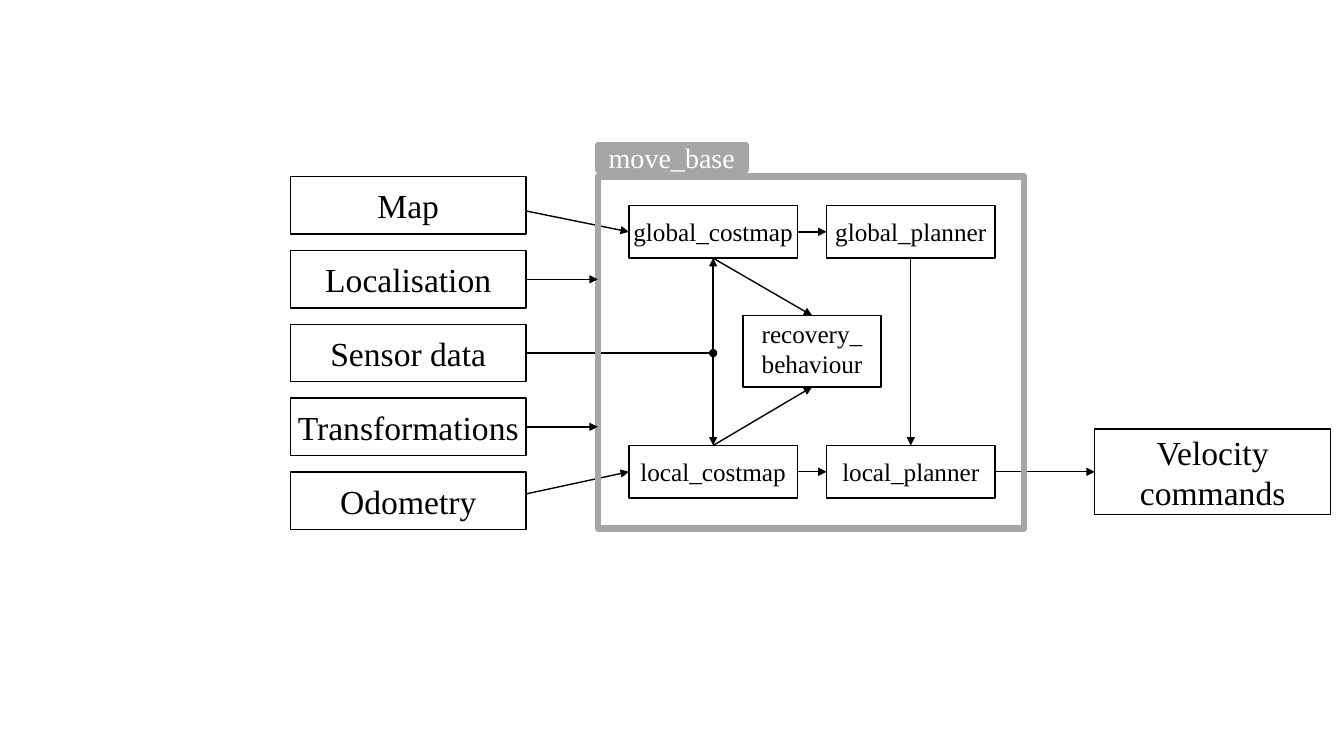
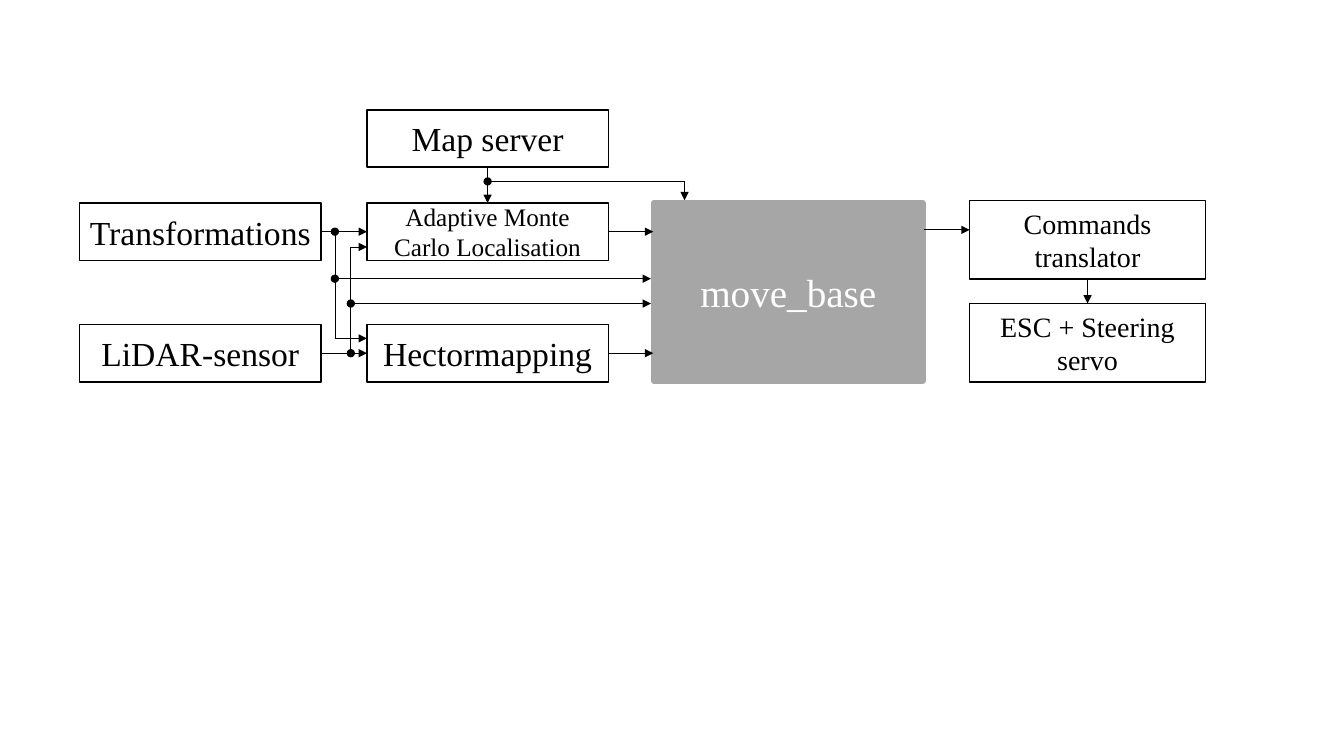
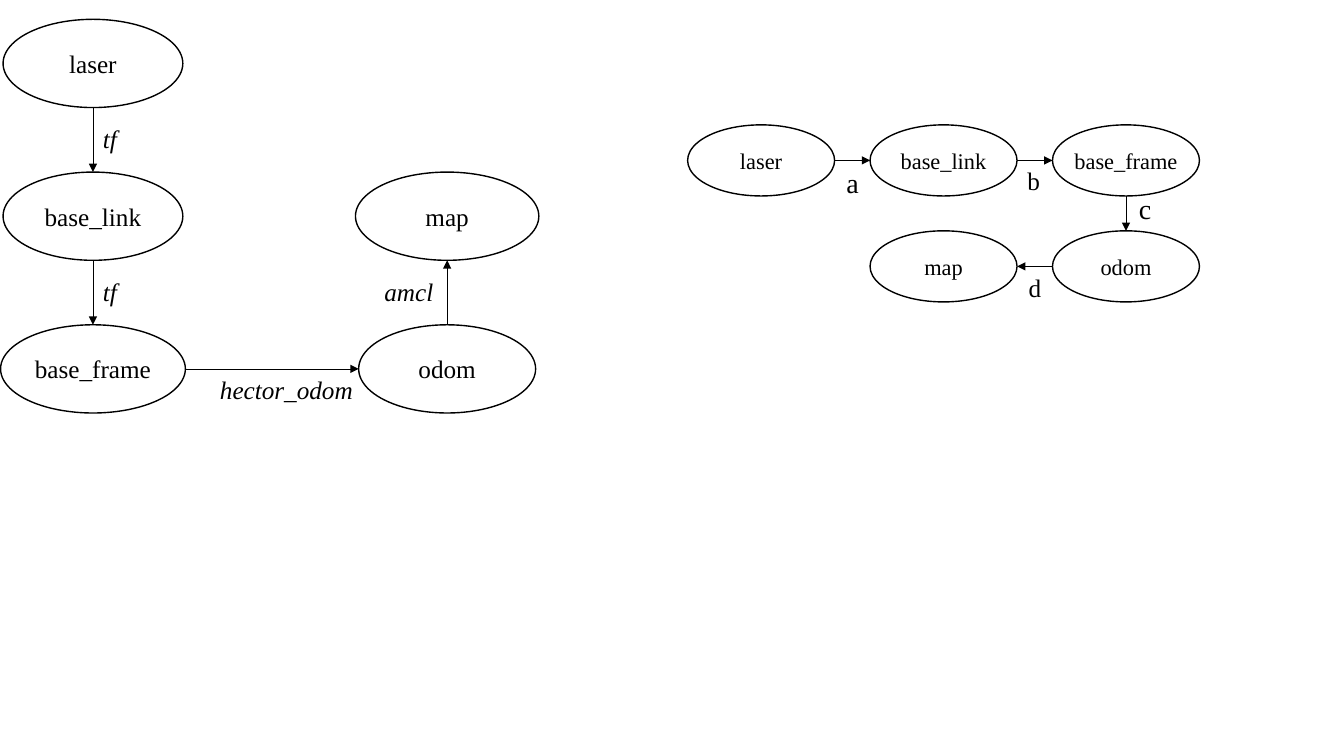
from lxml import etree
from pptx import Presentation
from pptx.dml.color import RGBColor
from pptx.enum import shapes, text
from pptx.oxml.ns import qn
from pptx.util import Pt

COLORS = {"ink": "000000", "paper": "FFFFFF", "grey": "A6A6A6"}
FONT = "Times New Roman"
TOP, LEFT, BOTTOM, RIGHT = range(4)
RECT, OVAL = shapes.MSO_SHAPE.RECTANGLE, shapes.MSO_SHAPE.OVAL
CENTER = text.PP_ALIGN.CENTER
THIN, GREY_EDGE = 0.5, 4.5


def color(name):
    return RGBColor.from_string(COLORS[name])


def write(box, words, size, ink="ink", align=CENTER, italic=False):
    box.text_frame.word_wrap = True
    para = box.text_frame.paragraphs[0]
    para.text = words
    para.alignment = align
    para.font.name, para.font.size = FONT, Pt(size)
    para.font.italic = italic
    para.font.color.rgb = color(ink)


def node(page, words, left, top, width, height, size=24, kind=RECT, margin=7.2):
    """White outlined box or ellipse with centred text."""
    box = page.shapes.add_shape(kind, Pt(left), Pt(top), Pt(width), Pt(height))
    box.shadow.inherit = False
    box.fill.solid()
    box.fill.fore_color.rgb = color("paper")
    box.line.color.rgb = color("ink")
    box.line.width = Pt(1)
    frame = box.text_frame
    frame.vertical_anchor = text.MSO_ANCHOR.MIDDLE
    frame.margin_left = frame.margin_right = Pt(margin)
    write(box, words, size)
    return box


def grey_block(page, words, left, top, width, height, size=20, filled=True):
    """Grey block with white text, or only its thick grey outline."""
    box = node(page, words, left, top, width, height, size)
    box.line.color.rgb = color("grey")
    box.line.width = Pt(GREY_EDGE)
    if filled:
        box.fill.fore_color.rgb = color("grey")
        write(box, words, size, "paper")
    else:
        box.fill.background()
    return box


def label(page, words, left, top, width, size, align=CENTER, italic=False):
    box = page.shapes.add_textbox(Pt(left), Pt(top), Pt(width), Pt(30))
    write(box, words, size, align=align, italic=italic)


def side_point(box, side):
    """Middle of one side of a shape, in points."""
    across = {LEFT: 0, RIGHT: 1}.get(side, 0.5)
    down = {TOP: 0, BOTTOM: 1}.get(side, 0.5)
    return (box.left + box.width * across) / Pt(1), (box.top + box.height * down) / Pt(1)


def arrow(page, start, end, weight=THIN, head=None, tail="triangle"):
    """Line between two ends, each an (x, y) point or a (shape, side) pair."""
    ends = [start, end]
    joined = [not isinstance(item[0], (int, float)) for item in ends]
    points = [side_point(*item) if join else item for item, join in zip(ends, joined)]
    line = page.shapes.add_connector(
        shapes.MSO_CONNECTOR.STRAIGHT, *(Pt(value) for point in points for value in point))
    line.line.color.rgb = color("ink")
    line.line.width = Pt(weight)
    for item, join, connect in zip(ends, joined, (line.begin_connect, line.end_connect)):
        if join and item[0].auto_shape_type == RECT:
            connect(*item)
    outline = line.line._get_or_add_ln()
    for tag, kind in (("a:headEnd", head), ("a:tailEnd", tail)):
        if kind:
            etree.SubElement(outline, qn(tag)).set("type", kind)
    etree.SubElement(line._element.spPr, qn("a:effectLst"))


def move_base_inside(page):
    # Inputs and output
    names = ["Map", "Localisation", "Sensor data", "Transformations", "Odometry"]
    inputs = [node(page, name, 207.4, 126.3 + 52.7 * row, 168.4, 41, margin=3)
              for row, name in enumerate(names)]
    velocity = node(page, "Velocity\vcommands", 782, 306.4, 168.4, 61.2)

    # Planner parts
    global_costmap, global_planner, local_costmap, local_planner = [
        node(page, f"{area}_{part}", left, top, 120.4, 37.6, 18, margin=3)
        for area, top in (("global", 146.8), ("local", 318.2))
        for part, left in (("costmap", 449.2), ("planner", 590.4))]
    recovery = node(page, "recovery_\vbehaviour", 530.8, 225.4, 98.6, 51, 18, margin=3)
    recovery.text_frame.margin_top = 0

    # Lines that pass under the frame
    arrow(page, (local_planner, RIGHT), (velocity, LEFT), 1)
    arrow(page, (375.8, 352.8), (local_costmap, LEFT), 1)
    arrow(page, (inputs[2], RIGHT), (509.4, 252.2), 1, tail="oval")
    arrow(page, (375.8, 150.7), (global_costmap, LEFT), 1)

    # Frame and its tab
    grey_block(page, "", 427, 126, 304.6, 251.6, filled=False)
    grey_block(page, "move_base", 427, 103.7, 105.8, 18)

    # Lines inside and up to the frame
    for start, end in [
            ((global_costmap, BOTTOM), (recovery, TOP)),
            ((local_costmap, TOP), (recovery, BOTTOM)),
            ((global_costmap, RIGHT), (global_planner, LEFT)),
            ((local_costmap, RIGHT), (local_planner, LEFT)),
            ((global_planner, BOTTOM), (local_planner, TOP))]:
        arrow(page, start, end, 1)
    arrow(page, (global_costmap, BOTTOM), (local_costmap, TOP), 1, head="triangle")
    for box in (inputs[1], inputs[3]):
        arrow(page, (box, RIGHT), (427, side_point(box, RIGHT)[1]), 1)


def system_overview(page):
    # Boxes
    column, width, height = (56.9, 262.1), 172.4, 41
    upper, lower = 145, 231.8
    map_server = node(page, "Map server", column[1], 78.5, width, height)
    localisation = node(page, "Adaptive Monte\vCarlo Localisation",
                        column[1], upper, width, height, 18)
    mapping = node(page, "Hectormapping", column[1], lower, width, height)
    transforms = node(page, "Transformations", column[0], upper, width, height, margin=3)
    lidar = node(page, "LiDAR-sensor", column[0], lower, width, height, margin=3)
    translator = node(page, "Commands translator", 692.6, 143.2, 168.5, 56, 20)
    servo = node(page, "ESC + Steering servo", 692.6, 216.8, 168.5, 56, 20)
    grey_block(page, "move_base", 467.3, 144.8, 191.6, 127.4, 28)

    # Direct arrows
    for start, end in [
            ((map_server, BOTTOM), (localisation, TOP)),
            ((transforms, RIGHT), (localisation, LEFT)),
            ((lidar, RIGHT), (mapping, LEFT)),
            ((translator, BOTTOM), (servo, TOP)),
            ((660, 164.2), (692.6, 164.2))]:
        arrow(page, start, end)
    for box in (localisation, mapping):
        arrow(page, (box, RIGHT), (466.6, side_point(box, RIGHT)[1]))

    # Branches: vertical line, arrow to a box, arrow to move_base
    for x, source, turn, through in [(239.2, transforms, 241.7, 199.1),
                                     (250.6, lidar, 176.4, 216.8)]:
        arrow(page, (x, turn), (x, side_point(source, RIGHT)[1]), tail="oval")
        arrow(page, (x, turn), (column[1], turn))
        arrow(page, (465, through), (x, through), head="triangle", tail="oval")

    # Map branch over the top
    arrow(page, (489, 129.6), (side_point(map_server, BOTTOM)[0], 129.6), tail="oval")
    arrow(page, (489, 129.6), (489, 143))


def frame_trees(page):
    # Large tree: name, centre x, row, width
    laser, base_link, base_frame, odom, map_frame = [
        node(page, name, middle - width / 2, 13.8 + 109.1 * row, width, 63, 18, OVAL, 0)
        for name, middle, row, width in [
            ("laser", 66.4, 0, 128.4), ("base_link", 66.4, 1, 128.4),
            ("base_frame", 66.4, 2, 132), ("odom", 319.4, 2, 126.4),
            ("map", 319.4, 1, 131)]]
    arrow(page, (laser, BOTTOM), (base_link, TOP))
    arrow(page, (base_link, BOTTOM), (base_frame, TOP))
    arrow(page, (base_frame, RIGHT), (odom, LEFT))
    arrow(page, (odom, TOP), (map_frame, BOTTOM))
    for words, left, top, width, align in [
            ("tf", 66.4, 84.8, 36, text.PP_ALIGN.LEFT),
            ("tf", 66.4, 193.9, 36, text.PP_ALIGN.LEFT),
            ("hector_odom", 150, 263.6, 140, text.PP_ALIGN.LEFT),
            ("amcl", 250.6, 193.9, 66, text.PP_ALIGN.RIGHT)]:
        label(page, words, left, top, width, 18, align, italic=True)

    # Small tree: name, column, row
    chain = [
        node(page, name, 491.2 + 130.3 * column, 89.2 + 75.7 * row, 105, 50.8, 16, OVAL, 0)
        for name, column, row in [("laser", 0, 0), ("base_link", 1, 0),
                                  ("base_frame", 2, 0), ("odom", 2, 1), ("map", 1, 1)]]
    exits = [(RIGHT, LEFT), (RIGHT, LEFT), (BOTTOM, TOP), (LEFT, RIGHT)]
    for first, second, (leave, enter) in zip(chain, chain[1:], exits):
        arrow(page, (first, leave), (second, enter))
    for words, left, top, size in [("a", 597.2, 114.6, 20), ("b", 726.5, 114.6, 18),
                                   ("c", 806, 133.2, 20), ("d", 727.3, 190.8, 18)]:
        label(page, words, left, top, 23.8, size)


def main():
    deck = Presentation()
    deck.slide_width, deck.slide_height = Pt(960), Pt(540)
    for draw in (move_base_inside, system_overview, frame_trees):
        draw(deck.slides.add_slide(deck.slide_layouts[6]))
    deck.save("out.pptx")


if __name__ == "__main__":
    main()
